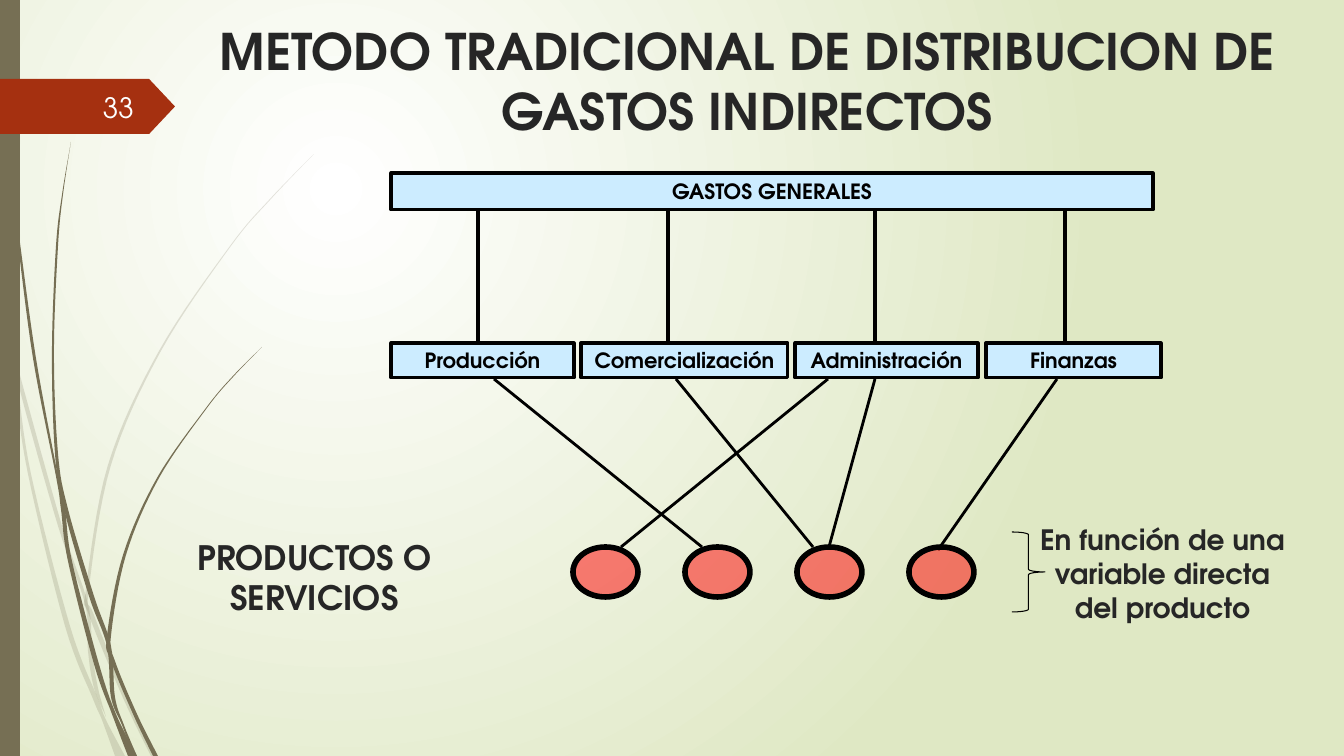
from lxml.etree import SubElement
from pptx import Presentation
from pptx.dml.color import RGBColor
from pptx.enum.shapes import MSO_CONNECTOR, MSO_SHAPE as Preset
from pptx.enum.text import MSO_ANCHOR as Anchor, MSO_AUTO_SIZE, PP_ALIGN as Align
from pptx.oxml.ns import qn
from pptx.util import Pt

SCALE = 914400 / 100.8
FONT = "TeX Gyre Adventor"
BLACK = RGBColor(0x00, 0x00, 0x00)
WHITE = RGBColor(0xFF, 0xFF, 0xFF)
NUMBER = RGBColor(0xFE, 0xFF, 0xFF)
DARK = RGBColor(0x26, 0x26, 0x26)
GREEN = RGBColor(0xDF, 0xE8, 0xC4)
OLIVE = RGBColor(0x76, 0x6F, 0x54)
RUST = RGBColor(0xA5, 0x30, 0x10)
SKY = RGBColor(0xCC, 0xEC, 0xFF)
RED = RGBColor(0xFF, 0x00, 0x00)

TITLE = "METODO TRADICIONAL DE DISTRIBUCION DE GASTOS INDIRECTOS"
BOXES = [
    ("GASTOS GENERALES", (391, 173, 762, 37)),
    ("Producción", (391, 343, 183, 35)),
    ("Comercialización", (581, 343, 207, 35)),
    ("Administración", (795, 343, 183, 35)),
    ("Finanzas", (986, 343, 175, 35)),
]
LABELS = [
    ("33", (58, 87, 86, 40), 20, NUMBER, False, Align.RIGHT, Anchor.MIDDLE),
    ("PRODUCTOS O SERVICIOS", (177, 532, 275, 80), 24, DARK, True, Align.CENTER, Anchor.TOP),
    ("En función de una variable directa del producto", (1025, 518, 275, 132), 20, DARK, True,
     Align.CENTER, Anchor.TOP),
]
DROPS = [478, 668, 875, 1065]
ALLOCATIONS = [
    ((875, 379), (829, 547)),
    ((494, 379), (702, 547)),
    ((676, 379), (813, 547)),
    ((828, 379), (621, 547)),
    ((1057, 379), (938, 550)),
]
PRODUCTS = 4
STRANDS = [
    (20, [(11, 353, 1), (14, 379, 3), (28, 474, 3), (65, 626, 5), (93, 699, 5),
          (102, 720, 4), (115, 756, 10)]),
    (20, [(14, 348, 0), (17, 379, 4), (58, 526, 4), (85, 604, 3), (88, 651, 4),
          (94, 688, 4), (106, 717, 0)]),
    (20, [(314, 154, 0), (270, 199, 1), (230, 246, 1), (159, 351, 2), (108, 465, 3),
          (86, 589, 3), (89, 615, 5), (124, 700, 5), (151, 756, 5)]),
    (100, [(17, 235, 2), (33, 358, 3), (56, 476, 2), (61, 509, 4), (68, 561, 4),
           (94, 664, 5), (112, 714, 4), (128, 756, 9)]),
    (100, [(71, 142, 0), (62, 195, 1), (56, 247, 2), (52, 352, 2), (55, 453, 3),
           (64, 509, 4), (89, 596, 5), (107, 646, 4), (111, 697, 4), (122, 725, 2),
           (134, 756, 3)]),
    (100, [(262, 347, 0), (233, 376, 1), (206, 408, 1), (157, 478, 2), (123, 555, 3),
           (107, 636, 4), (111, 661, 4), (133, 714, 4), (153, 756, 5)]),
]


def emu(*lengths):
    return [round(length * SCALE) for length in lengths]


def paint(shape, color, alpha=100, line=None):
    shape.shadow.inherit = False
    shape.fill.solid()
    shape.fill.fore_color.rgb = color
    if alpha < 100:
        node = shape.fill._xPr.find(qn("a:solidFill"))[0]
        SubElement(node, qn("a:alpha"), val=str(alpha * 1000))
    outline(shape, line)


def outline(shape, width):
    if width is None:
        shape.line.fill.background()
    else:
        shape.line.color.rgb = BLACK
        shape.line.width = Pt(width)


def write(shape, text, size, color, bold=True, align=Align.CENTER, anchor=Anchor.MIDDLE, side=10):
    frame = shape.text_frame
    frame.word_wrap = True
    frame.auto_size = MSO_AUTO_SIZE.NONE
    frame.vertical_anchor = anchor
    frame.margin_left = frame.margin_right = emu(side)[0]
    frame.margin_top = frame.margin_bottom = emu(5)[0]
    frame.text = text
    para = frame.paragraphs[0]
    para.alignment = align
    font = para.font
    font.name, font.size, font.bold = FONT, Pt(size), bold
    font.color.rgb = color


def smooth(points, steps=8):
    padded = [points[0], *points, points[-1]]
    curve = []
    for a, b, c, d in zip(padded, padded[1:], padded[2:], padded[3:]):
        for step in range(steps):
            t = step / steps
            curve.append([
                q + t / 2 * (r - p + t * (2 * p - 5 * q + 4 * r - s + t * (3 * (q - r) + s - p)))
                for p, q, r, s in zip(a, b, c, d)
            ])
    return curve + [points[-1]]


def add_strand(page, alpha, points):
    curve = smooth(points)
    edge = [emu(x, y) for x, y, width in curve]
    edge += [emu(x + width, y) for x, y, width in reversed(curve)]
    builder = page.shapes.build_freeform(*edge[0])
    builder.add_line_segments(edge[1:], close=True)
    paint(builder.convert_to_shape(), OLIVE, alpha)


def add_line(page, start, end, width):
    line = page.shapes.add_connector(MSO_CONNECTOR.STRAIGHT, *emu(*start, *end))
    outline(line, width)
    SubElement(line._element.spPr, qn("a:effectLst"))


def set_background(page):
    fill = page.background.fill
    fill.gradient()
    for stop, color in zip(fill.gradient_stops, (WHITE, GREEN)):
        stop.color.rgb = color
    gradient = fill._xPr.find(qn("a:gradFill"))
    gradient.remove(gradient.find(qn("a:lin")))
    circle = SubElement(gradient, qn("a:path"), {"path": "circle"})
    SubElement(circle, qn("a:fillToRect"), l="50000", t="50000", r="100000", b="100000")


def main():
    deck = Presentation()
    deck.slide_width, deck.slide_height = emu(1344, 756)
    page = deck.slides.add_slide(deck.slide_layouts[5])
    shapes = page.shapes
    set_background(page)

    for alpha, points in STRANDS:
        add_strand(page, alpha, points)
    paint(shapes.add_shape(Preset.RECTANGLE, *emu(0, 0, 20, 756)), OLIVE)
    tag = shapes.add_shape(Preset.PENTAGON, *emu(0, 79, 175, 55))
    tag.adjustments[0] = 0.47
    paint(tag, RUST)

    title = shapes.title
    title.left, title.top, title.width, title.height = emu(210, 15, 1075, 132)
    write(title, TITLE, 36, DARK, anchor=Anchor.TOP, side=0)

    for start, end in ALLOCATIONS:
        add_line(page, start, end, 2)
    for index in range(PRODUCTS):
        product = shapes.add_shape(Preset.OVAL, *emu(573 + 112 * index, 547, 65, 50))
        paint(product, RED, 50, 4)
    for text, place in BOXES:
        box = shapes.add_shape(Preset.RECTANGLE, *emu(*place))
        paint(box, SKY, line=2.25)
        write(box, text, 15, BLACK, side=5)
    for x in DROPS:
        add_line(page, (x, 210), (x, 342), 2.25)
    for text, place, *style in LABELS:
        write(shapes.add_textbox(*emu(*place)), text, *style)

    brace = shapes.add_shape(Preset.RIGHT_BRACE, *emu(1012, 532, 33, 80))
    brace.shadow.inherit = False
    brace.fill.background()
    outline(brace, 0.75)
    deck.save("out.pptx")


if __name__ == "__main__":
    main()
